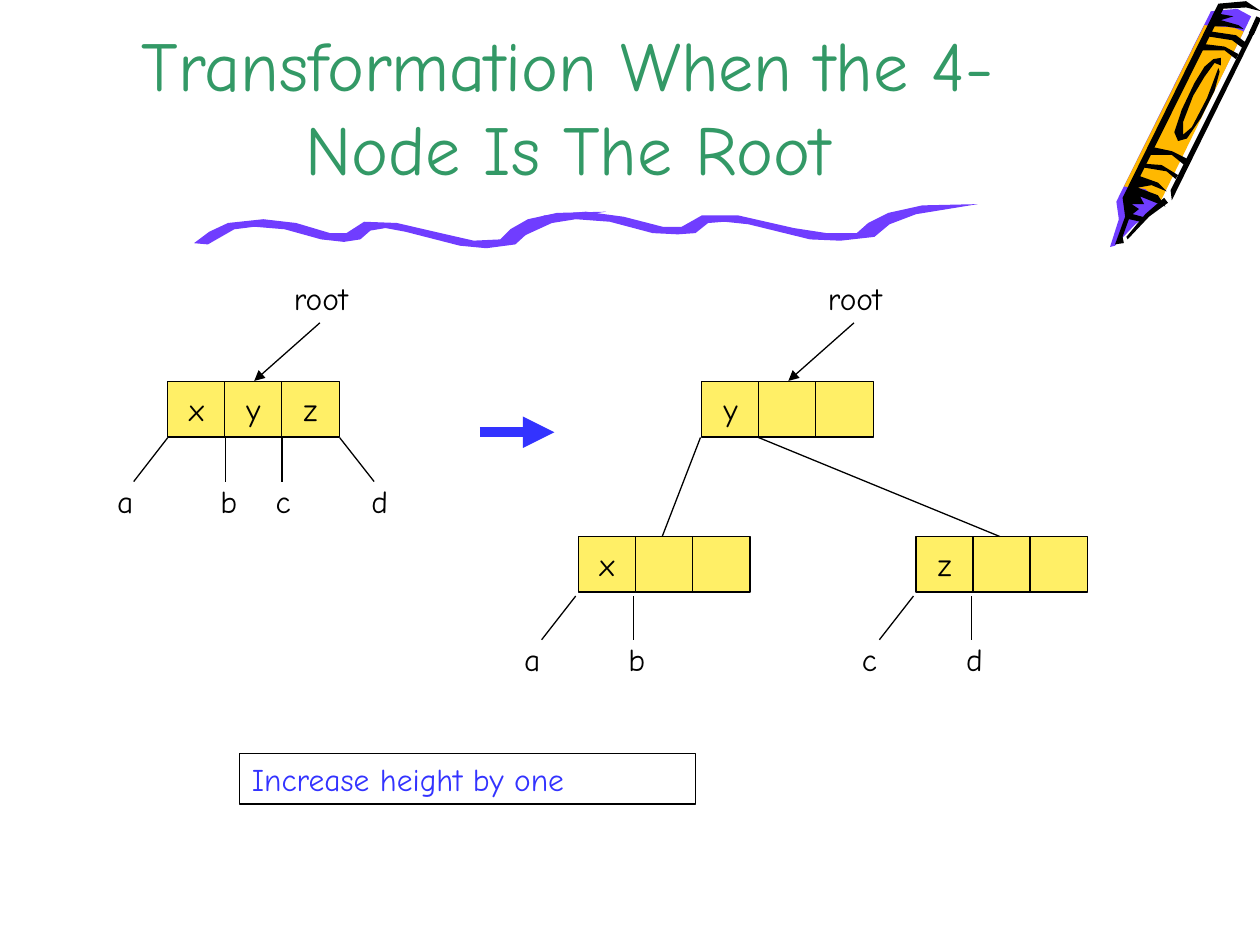
from lxml import etree
from pptx import Presentation
from pptx.dml.color import RGBColor
from pptx.enum import shapes, text
from pptx.oxml import ns
from pptx.util import Pt

FONT = "Comic Neue"
COLORS = {
    "title": "339966",
    "ink": "000000",
    "cell": "FFEF66",
    "accent": "3333FF",
    "purple": "703DFF",
    "orange": "FFB800",
}
CELL_WIDTH, CELL_HEIGHT, CELL_PITCH = 33, 31.7, 32.6
LABEL_WIDTH, LABEL_HEIGHT = 21.6, 28.8
HUNDREDTH_INCH = 0.72

CRAYON = [
    ("purple", [(113, 13), (37, 166), (21, 178), (5, 195), (1, 196), (8, 174), (6, 160),
                (81, 9), (102, 7)]),
    ("orange", [(41, 160), (29, 150), (12, 148), (76, 20), (99, 22), (107, 25)]),
    ("ink", [(47, 161), (32, 172), (15, 190), (14, 188), (29, 170), (44, 157)]),
    ("ink", [(107, 23), (93, 21), (81, 21), (88, 11), (99, 13), (89, 16), (103, 20)]),
    ("ink", [(88, 57), (84, 72), (73, 94), (62, 110), (55, 112), (52, 105), (58, 87),
             (68, 66), (76, 53), (83, 47), (89, 46), (89, 52), (84, 50), (76, 61),
             (67, 76), (59, 97), (59, 107), (66, 101), (78, 78), (87, 54)]),
    ("ink", [(117, 23), (50, 159), (49, 151), (113, 23)]),
    ("ink", [(45, 164), (39, 155), (23, 149), (34, 147), (46, 152), (39, 145), (25, 140),
             (91, 7), (109, 6), (121, 9), (109, 1), (87, 3), (11, 157), (13, 172),
             (5, 194), (12, 193), (11, 188), (16, 174), (25, 176), (30, 173), (19, 170),
             (24, 166), (18, 162), (28, 162), (25, 156)]),
    ("ink", [(53, 142), (46, 136), (28, 133), (29, 130), (42, 131), (55, 139)]),
    ("ink", [(60, 131), (50, 123), (33, 123), (36, 117), (50, 120), (62, 126)]),
    ("ink", [(101, 47), (92, 40), (73, 40), (76, 35), (92, 37), (103, 43)]),
    ("ink", [(106, 38), (98, 32), (79, 29), (81, 25), (101, 28), (109, 34)]),
]
WAVES = [
    ("purple", [(15, 34), (36, 22), (52, 20), (76, 22), (105, 30), (123, 32), (136, 30),
                (144, 23), (156, 21), (172, 24), (215, 35), (236, 37), (259, 34),
                (270, 24), (288, 15), (331, 8), (292, 9), (269, 14), (255, 22),
                (247, 30), (226, 31), (204, 26), (165, 17), (139, 16), (125, 25),
                (112, 25), (85, 17), (59, 14), (31, 17), (16, 24), (4, 33)]),
    ("purple", [(264, 28), (288, 17), (307, 14), (334, 16), (368, 25), (388, 26),
                (402, 25), (412, 17), (425, 16), (444, 18), (493, 30), (517, 31),
                (544, 28), (556, 18), (577, 10), (626, 2), (582, 3), (555, 9),
                (539, 17), (530, 25), (506, 25), (480, 21), (436, 11), (407, 11),
                (391, 20), (376, 20), (345, 12), (315, 8), (282, 11), (265, 18),
                (251, 28)]),
]


def color(name):
    """Return the named colour as an RGBColor."""
    return RGBColor.from_string(COLORS[name])


def add_text(frame, words, ink="ink", size=18, align=text.PP_ALIGN.LEFT):
    """Write one formatted paragraph into a text frame."""
    frame.text = words
    paragraph = frame.paragraphs[0]
    paragraph.alignment = align
    font = paragraph.runs[0].font
    font.name, font.size, font.color.rgb = FONT, Pt(size), color(ink)


def add_label(slide, left, top, width, words):
    """Add a small left-aligned label."""
    box = slide.shapes.add_textbox(Pt(left), Pt(top), Pt(width), Pt(LABEL_HEIGHT))
    box.text_frame.word_wrap = True
    add_text(box.text_frame, words)


def add_line(slide, start, end, ink="ink", width=0.75, arrow=False):
    """Add a straight line, with an arrowhead at its end on request."""
    line = slide.shapes.add_connector(
        shapes.MSO_CONNECTOR.STRAIGHT, *(Pt(value) for value in (*start, *end)))
    line.line.color.rgb, line.line.width = color(ink), Pt(width)
    if arrow:
        outline = line.line._get_or_add_ln()
        etree.SubElement(outline, ns.qn("a:tailEnd"), type="triangle")
    etree.SubElement(line._element.spPr, ns.qn("a:effectLst"))


def add_rectangle(slide, left, top, width, height, fill=None):
    """Add a thinly outlined rectangle."""
    shape = slide.shapes.add_shape(
        shapes.MSO_SHAPE.RECTANGLE, Pt(left), Pt(top), Pt(width), Pt(height))
    shape.shadow.inherit = False
    shape.line.color.rgb, shape.line.width = color("ink"), Pt(0.75)
    if fill:
        shape.fill.solid()
        shape.fill.fore_color.rgb = color(fill)
    else:
        shape.fill.background()
    return shape


def add_drawing(slide, left, top, outlines):
    """Add filled outlines given in hundredths of an inch from the corner."""
    for fill, points in outlines:
        builder = slide.shapes.build_freeform(*points[0], scale=Pt(HUNDREDTH_INCH))
        builder.add_line_segments(points[1:], close=True)
        shape = builder.convert_to_shape(Pt(left), Pt(top))
        shape.shadow.inherit = False
        shape.fill.solid()
        shape.fill.fore_color.rgb = color(fill)
        shape.line.fill.background()


def add_title(slide, left, top, width, height):
    """Add the slide title, set on the bottom of its box."""
    box = slide.shapes.add_textbox(Pt(left), Pt(top), Pt(width), Pt(height))
    box.text_frame.word_wrap = True
    box.text_frame.vertical_anchor = text.MSO_ANCHOR.BOTTOM
    add_text(box.text_frame, "Transformation When the 4-Node Is The Root",
             "title", 40, text.PP_ALIGN.CENTER)


def add_node(slide, left, top, keys):
    """Add a three-cell tree node holding the given keys."""
    for index, key in enumerate(keys.ljust(3)):
        cell = add_rectangle(slide, left + index * CELL_PITCH, top,
                             CELL_WIDTH, CELL_HEIGHT, "cell")
        if key.strip():
            frame = cell.text_frame
            frame.word_wrap = False
            frame.vertical_anchor = text.MSO_ANCHOR.MIDDLE
            add_text(frame, key, align=text.PP_ALIGN.CENTER)


def add_root_pointer(slide, left, top):
    """Add the root label and its arrow above a node."""
    add_label(slide, left + 65, top - 62, 54.7, "root")
    add_line(slide, (left + 87, top - 33.5), (left + 49.5, top - 0.3), arrow=True)


def add_leaves(slide, left, top, leaves):
    """Add the subtree lines and labels hanging below a node."""
    for name, start, end, label in leaves:
        add_line(slide, (left + start, top), (left + end, top + 25))
        add_label(slide, left + label, top + 21.6, LABEL_WIDTH, name)


def add_tree_before(slide, left, top):
    """Add the full root node with its four subtrees."""
    add_node(slide, left, top, "xyz")
    add_root_pointer(slide, left, top)
    add_leaves(slide, left, top + 32.2, [
        ("a", 0, -19.4, -36), ("b", 33, 33, 23),
        ("c", 65.3, 65.3, 54.7), ("d", 98.4, 118, 109.4)])


def add_tree_after(slide, left, top):
    """Add the split root with its two child nodes."""
    add_node(slide, left, top, "y")
    add_root_pointer(slide, left, top)
    child_top = top + 88.6
    for key, names, offset, anchor in (("x", "ab", -70.6, -0.7), ("z", "cd", 122.4, 32.4)):
        child_left = left + offset
        add_node(slide, child_left, child_top, key)
        add_line(slide, (left + anchor, top + 32), (child_left + 48, child_top))
        add_leaves(slide, child_left, child_top + 34, [
            (names[0], -1.4, -20.9, -38), (names[1], 31.8, 31.8, 21.6)])


def add_remark(slide, left, top, width, height):
    """Add the framed remark below the trees."""
    frame = add_rectangle(slide, left, top, width, height).text_frame
    frame.word_wrap = True
    frame.vertical_anchor = text.MSO_ANCHOR.TOP
    add_text(frame, "Increase height by one", "accent")


def main():
    """Build and save the slide."""
    presentation = Presentation()
    presentation.slide_width, presentation.slide_height = Pt(720), Pt(540)
    slide = presentation.slides.add_slide(presentation.slide_layouts[6])
    add_drawing(slide, 633.6, 0, CRAYON)
    add_line(slide, (719.3, 10), (715, 19.4), width=3)
    add_drawing(slide, 108, 115.2, WAVES)
    add_title(slide, 54, 0, 540.7, 111.6)
    add_tree_before(slide, 95.8, 218)
    add_line(slide, (274.3, 247), (316.8, 247), "accent", 6, arrow=True)
    add_tree_after(slide, 401, 218)
    add_remark(slide, 136.8, 430.6, 260.6, 28.8)
    presentation.save("out.pptx")


if __name__ == "__main__":
    main()
